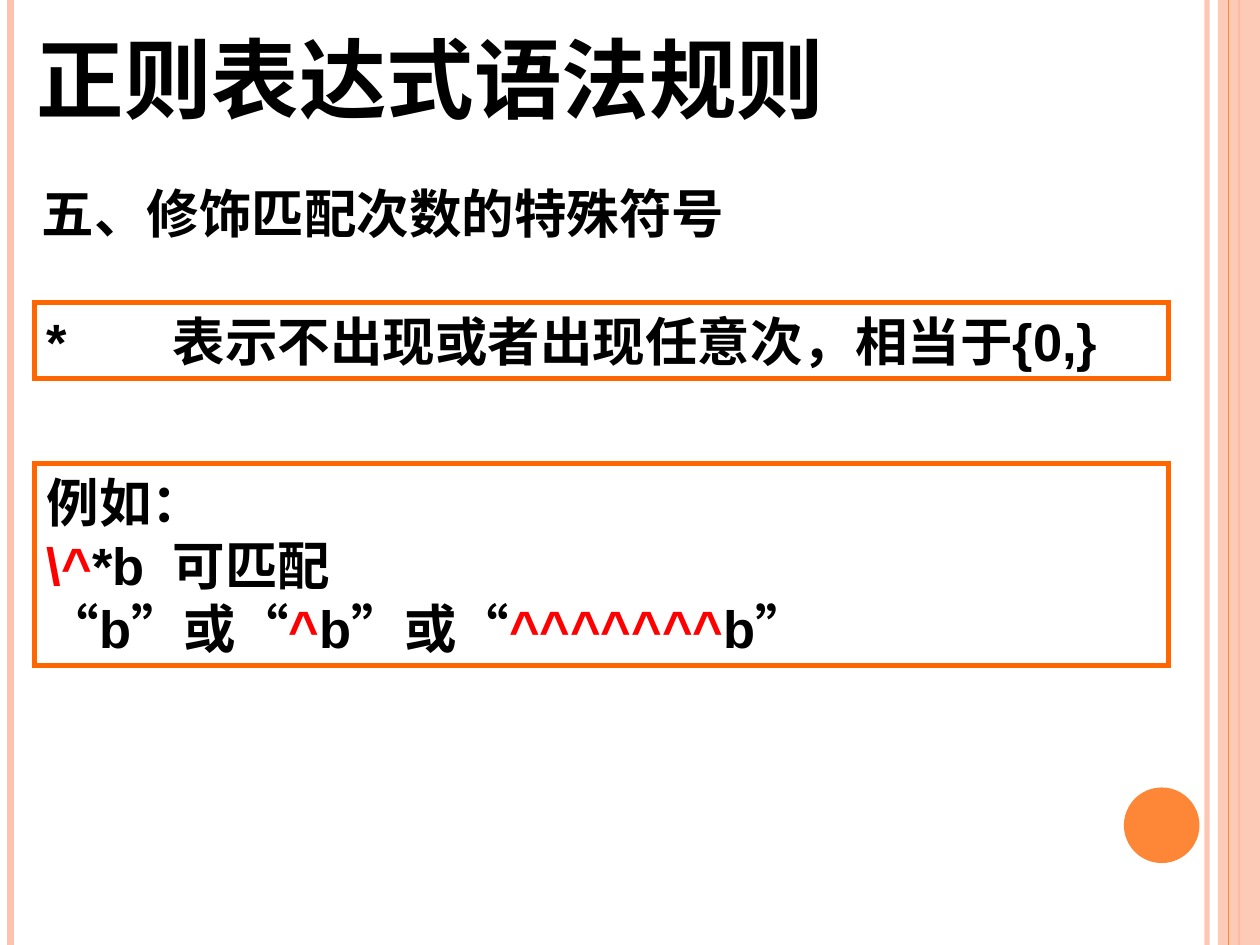
"""Build the slide on regular expression repetition symbols."""
from lxml.etree import SubElement
from pptx import Presentation
from pptx.dml.color import RGBColor
from pptx.enum.shapes import MSO_CONNECTOR, MSO_SHAPE
from pptx.enum.text import MSO_ANCHOR, MSO_AUTO_SIZE, PP_ALIGN
from pptx.oxml.ns import qn
from pptx.util import Pt

THEME = {
    "peach": RGBColor.from_string("FEC3AE"),
    "orange": RGBColor.from_string("FE8637"),
    "frame": RGBColor.from_string("FF6600"),
    "black": RGBColor.from_string("000000"),
    "red": RGBColor.from_string("FF0000"),
    "title": Pt(50),
    "body": Pt(30),
    "heading font": "TeX Gyre Schola",
    "body font": "Arial",
}


def set_opacity(properties, percent):
    color = next(properties.iter(qn("a:srgbClr")))
    SubElement(color, qn("a:alpha"), val=str(percent * 1000))


def write_text(shape, paragraphs, size, font, wrap=True):
    frame = shape.text_frame
    frame_format = {
        "word_wrap": wrap,
        "auto_size": MSO_AUTO_SIZE.SHAPE_TO_FIT_TEXT,
        "vertical_anchor": MSO_ANCHOR.TOP,
    }
    for name, value in frame_format.items():
        setattr(frame, name, value)
    for index, runs in enumerate(paragraphs):
        paragraph = frame.add_paragraph() if index else frame.paragraphs[0]
        paragraph.alignment = PP_ALIGN.LEFT
        tabs = SubElement(paragraph._p.get_or_add_pPr(), qn("a:tabLst"))
        for inch in range(8):
            SubElement(tabs, qn("a:tab"), pos=str(Pt(72 * inch)), algn="l")
        for text, color in runs:
            run = paragraph.add_run()
            run.text = text
            run_format = {"size": THEME[size], "name": THEME[font], "bold": True}
            for name, value in run_format.items():
                setattr(run.font, name, value)
            run.font.color.rgb = THEME[color]


presentation = Presentation()
presentation.slide_width, presentation.slide_height = Pt(720), Pt(540)
slide = presentation.slides.add_slide(presentation.slide_layouts[6])
shapes = slide.shapes

stripes = [
    (689.75, "peach", 3, 92),
    (6, "peach", 4.5, 100),
    (708, "orange", 1.5, 100),
    (702, "orange", 0.75, 100),
]
for position, (left, color, width, opacity) in enumerate(stripes):
    if position == 3:
        band = shapes.add_shape(MSO_SHAPE.RECTANGLE, Pt(696), Pt(0), Pt(24), Pt(540))
        band.shadow.inherit = False
        band.fill.solid()
        band.fill.fore_color.rgb = THEME["peach"]
        band.line.fill.background()
        set_opacity(band._element.spPr, 87)
    stripe = shapes.add_connector(MSO_CONNECTOR.STRAIGHT, Pt(left), Pt(0), Pt(left), Pt(540))
    stripe.line.color.rgb = THEME[color]
    stripe.line.width = Pt(width)
    SubElement(stripe._element.spPr, qn("a:effectLst"))
    if opacity < 100:
        set_opacity(stripe._element.spPr, opacity)

circle = shapes.add_shape(MSO_SHAPE.OVAL, Pt(642.25), Pt(450), Pt(43.2), Pt(43.2))
circle.shadow.inherit = False
circle.fill.solid()
circle.fill.fore_color.rgb = THEME["orange"]
circle.line.fill.background()

title = shapes.add_textbox(Pt(14), Pt(11), Pt(468), Pt(68))
write_text(title, [[("正则表达式语法规则", "black")]], "title", "heading font", wrap=False)

subtitle = shapes.add_textbox(Pt(16.75), Pt(100), Pt(646.5), Pt(43.5))
write_text(subtitle, [[("五、修饰匹配次数的特殊符号", "black")]], "body", "heading font")

rule = [[("*\t表示不出现或者出现任意次，相当于{0,}", "black")]]
example = [
    [("例如：", "black")],
    [
        ("\\^", "red"),
        ("*b\t可匹配\t“b”或“", "black"),
        ("^", "red"),
        ("b”或“", "black"),
        ("^^^^^^^", "red"),
        ("b”", "black"),
    ],
]
for top, height, paragraphs in [(173, 43.25, rule), (265, 115.25, example)]:
    box = shapes.add_shape(MSO_SHAPE.RECTANGLE, Pt(19.75), Pt(top), Pt(648), Pt(height))
    box.shadow.inherit = False
    box.fill.background()
    box.line.color.rgb = THEME["frame"]
    box.line.width = Pt(3)
    SubElement(box._element.spPr.find(qn("a:ln")), qn("a:miter"), lim="800000")
    write_text(box, paragraphs, "body", "body font")

presentation.save("out.pptx")
